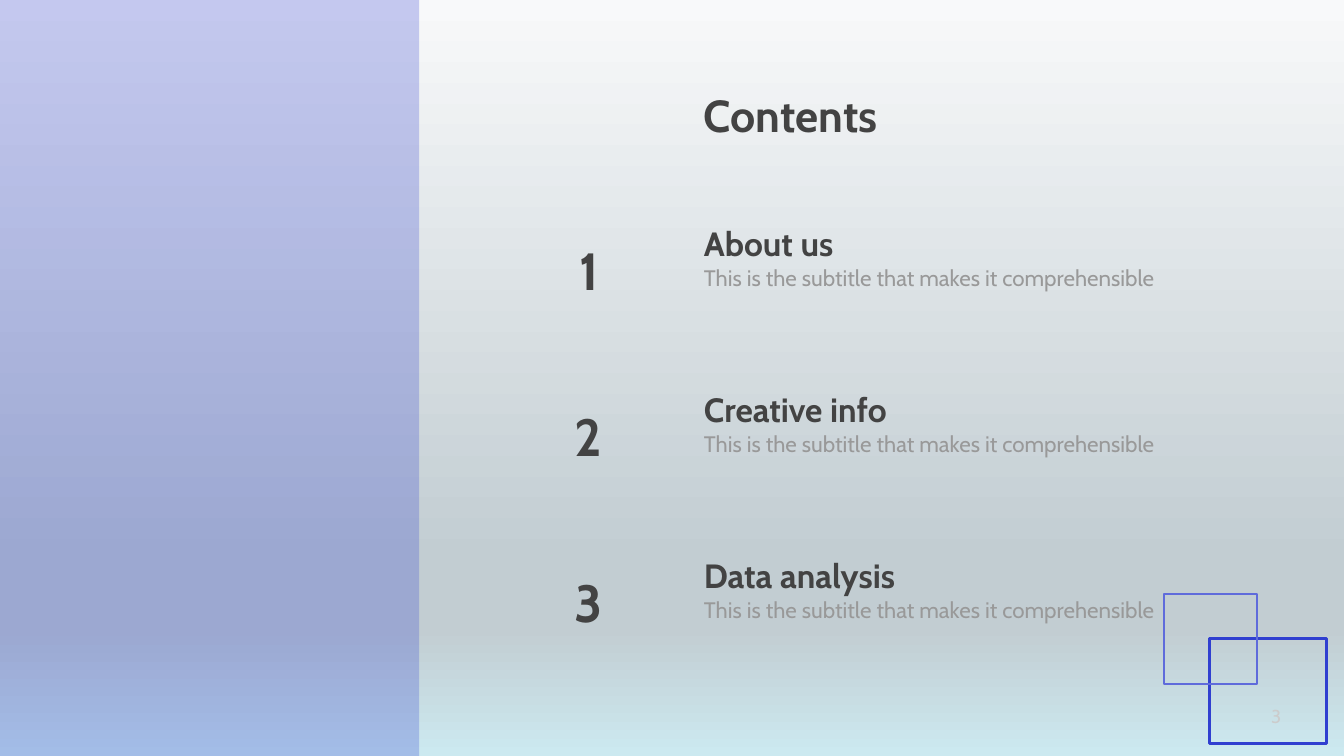
from copy import deepcopy

from lxml.etree import SubElement
from pptx import Presentation
from pptx.dml.color import RGBColor
from pptx.enum.shapes import MSO_SHAPE
from pptx.enum.text import MSO_ANCHOR, PP_ALIGN
from pptx.oxml.ns import qn
from pptx.util import Pt

DARK = RGBColor(0x43, 0x43, 0x43)
GRAY = RGBColor(0x99, 0x99, 0x99)
PALE = RGBColor(0xCC, 0xCC, 0xCC)
BLUE = RGBColor(0x30, 0x3F, 0xD0)
LIGHT_BLUE = RGBColor(0x5F, 0x6B, 0xDB)
BACKGROUND = [
    (0, RGBColor(0xF8, 0xF9, 0xFA)),
    (0.74, RGBColor(0xC2, 0xCD, 0xD2)),
    (0.83, RGBColor(0xC2, 0xCD, 0xD2)),
    (1, RGBColor(0xCC, 0xE9, 0xF0)),
]

prs = Presentation()
prs.slide_width, prs.slide_height = Pt(720), Pt(405)
s = prs.slides.add_slide(prs.slide_layouts[6])


def add_text(text, x, y, w, h, size, color=DARK, bold=True,
             anchor=MSO_ANCHOR.MIDDLE, align=PP_ALIGN.LEFT):
    tf = s.shapes.add_textbox(Pt(x), Pt(y), Pt(w), Pt(h)).text_frame
    tf.word_wrap = True
    tf.vertical_anchor = anchor
    tf.margin_left = tf.margin_right = tf.margin_top = tf.margin_bottom = Pt(7.2)
    p = tf.paragraphs[0]
    p.text = text
    p.alignment = align
    p.font.name, p.font.size, p.font.bold = "Cabin", Pt(size), bold
    p.font.color.rgb = color
    return p


def add_rect(x, y, w, h):
    sp = s.shapes.add_shape(MSO_SHAPE.RECTANGLE, Pt(x), Pt(y), Pt(w), Pt(h))
    sp.shadow.inherit = False
    return sp


# Background: four-stop vertical gradient
fill = s.background.fill
fill.gradient()
fill.gradient_angle = 270
stops = s.element.find(".//" + qn("a:gsLst"))
for _ in range(len(BACKGROUND) - len(stops)):
    stops.append(deepcopy(stops[0]))
for stop, (position, color) in zip(fill.gradient_stops, BACKGROUND):
    stop.position = position
    stop.color.rgb = color

# Heading
add_text("Contents", 370, 15, 418, 88, 24).line_spacing = 1.15

# Numbered entries
for i, topic in enumerate(["About us", "Creative info", "Data analysis"]):
    y = 94.2 + i * 88.9
    add_text("This is the subtitle that makes it comprehensible",
             370, y + 40.3, 265, 45, 12, GRAY, False, MSO_ANCHOR.TOP)
    add_text(topic, 370, y, 418, 54, 18, anchor=MSO_ANCHOR.BOTTOM)
    add_text(str(i + 1), 265.7, y + 25.2, 99.4, 50.4, 28, align=PP_ALIGN.CENTER)

# Translucent left panel
sp = add_rect(0, 0, 224.6, 405)
sp.fill.solid()
sp.fill.fore_color.rgb = BLUE
sp.line.fill.background()
color = sp.fill._xPr.find(".//" + qn("a:srgbClr"))
SubElement(color, qn("a:alpha")).set("val", "26000")

# Overlapping corner frames
for x, y, w, h, color, weight in [
    (648, 342, 62.7, 56.2, BLUE, 1.45),
    (623.5, 318.2, 49.7, 48.2, LIGHT_BLUE, 1),
]:
    sp = add_rect(x, y, w, h)
    sp.fill.background()
    sp.line.color.rgb = color
    sp.line.width = Pt(weight)

# Page number
add_text("3", 650, 368, 43.5, 31, 10, PALE, False, align=PP_ALIGN.RIGHT)

prs.save("out.pptx")
